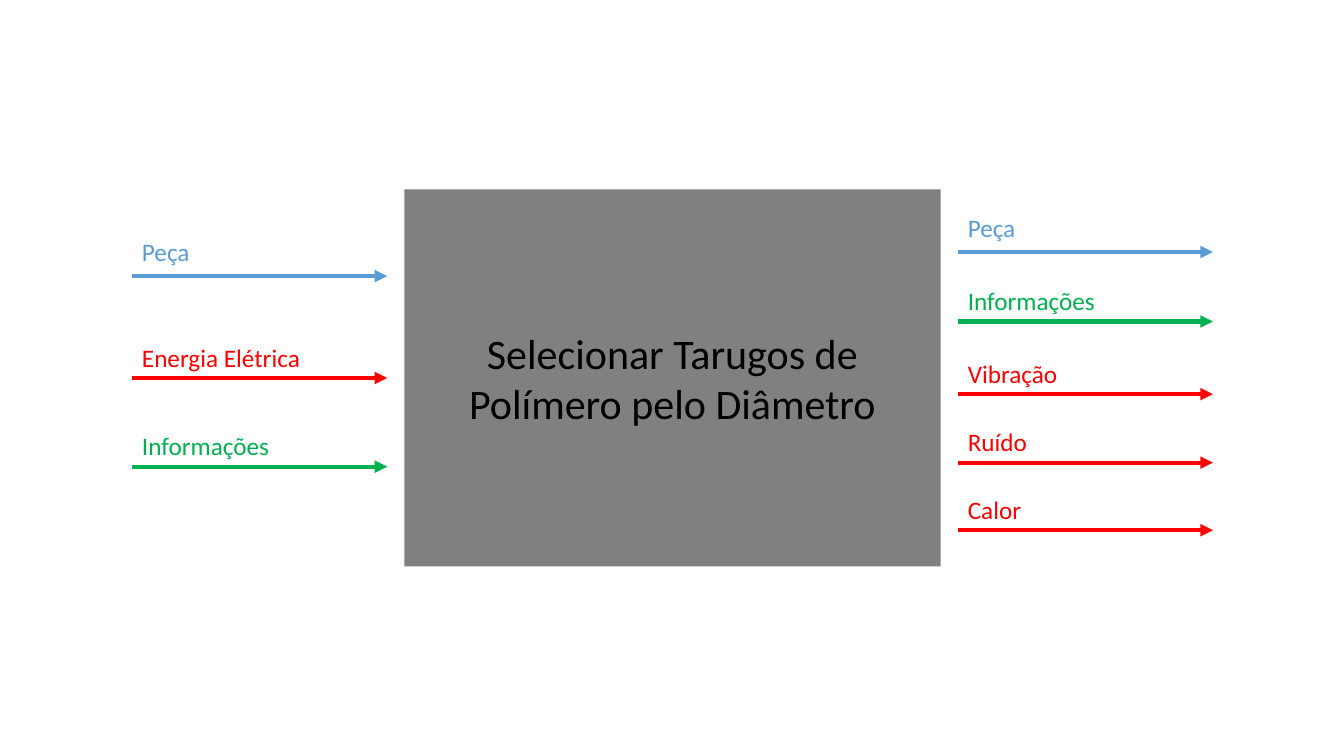
"""Builds a black-box function slide with its input and output flows."""
from lxml import etree
from pptx import Presentation
from pptx.dml.color import RGBColor
from pptx.enum.shapes import MSO_CONNECTOR, MSO_SHAPE
from pptx.enum.text import MSO_ANCHOR, PP_ALIGN
from pptx.oxml.ns import qn
from pptx.util import Inches, Pt

STRAIGHT, RECTANGLE = MSO_CONNECTOR.STRAIGHT, MSO_SHAPE.RECTANGLE
LEFT, CENTER = PP_ALIGN.LEFT, PP_ALIGN.CENTER
TOP, MIDDLE = MSO_ANCHOR.TOP, MSO_ANCHOR.MIDDLE
BLUE = RGBColor(0x5B, 0x9B, 0xD5)
RED = RGBColor(0xFF, 0x00, 0x00)
GREEN = RGBColor(0x00, 0xB0, 0x50)
GRAY = RGBColor(0x80, 0x80, 0x80)
BLACK = RGBColor(0x00, 0x00, 0x00)

FUNCTION = "Selecionar Tarugos de Polímero pelo Diâmetro"
MATERIAL, ENERGY, SIGNAL = (BLUE, 0.44), (RED, 0.405), (GREEN, 0.405)
INPUTS = [("Peça", MATERIAL, 2.74), ("Energia Elétrica", ENERGY, 3.75),
          ("Informações", SIGNAL, 4.63)]
OUTPUTS = [("Peça", MATERIAL, 2.5), ("Informações", SIGNAL, 3.19),
           ("Vibração", ENERGY, 3.91), ("Ruído", ENERGY, 4.59),
           ("Calor", ENERGY, 5.26)]

WIDTH, HEIGHT = 13.33, 7.5
BOX_LEFT, BOX_WIDTH, BOX_HEIGHT = 4.01, 5.32, 3.74
ARROW_LENGTH, ARROW_GAP = 2.53, 0.17
LABEL_WIDTH, LABEL_HEIGHT = 2.39, 0.4


def write(shape, text, size, color, align=LEFT, anchor=TOP):
    frame = shape.text_frame
    frame.word_wrap = True
    frame.vertical_anchor = anchor
    para = frame.paragraphs[0]
    para.alignment = align
    span = para.add_run()
    span.text = text
    span.font.name = "Calibri"
    span.font.size = Pt(size)
    span.font.color.rgb = color


def add_arrow(page, left, level, color):
    arrow = page.shapes.add_connector(
        STRAIGHT, Inches(left), Inches(level),
        Inches(left + ARROW_LENGTH), Inches(level))
    arrow.line.color.rgb = color
    arrow.line.width = Pt(3)
    etree.SubElement(arrow.line._get_or_add_ln(), qn("a:tailEnd"), type="triangle")
    etree.SubElement(arrow._element.spPr, qn("a:effectLst"))


def add_flows(page, flows, left):
    for name, (color, rise), level in flows:
        add_arrow(page, left, level, color)
        label = page.shapes.add_textbox(
            Inches(left), Inches(level - rise), Inches(LABEL_WIDTH), Inches(LABEL_HEIGHT))
        write(label, name, 18, color)


deck = Presentation()
deck.slide_width, deck.slide_height = Inches(WIDTH), Inches(HEIGHT)
page = deck.slides.add_slide(deck.slide_layouts[6])

box = page.shapes.add_shape(
    RECTANGLE, Inches(BOX_LEFT), Inches((HEIGHT - BOX_HEIGHT) / 2),
    Inches(BOX_WIDTH), Inches(BOX_HEIGHT))
box.shadow.inherit = False
box.fill.solid()
box.fill.fore_color.rgb = GRAY
box.line.fill.background()
write(box, FUNCTION, 30, BLACK, align=CENTER, anchor=MIDDLE)

add_flows(page, INPUTS, BOX_LEFT - ARROW_GAP - ARROW_LENGTH)
add_flows(page, OUTPUTS, BOX_LEFT + BOX_WIDTH + ARROW_GAP)
deck.save("out.pptx")
